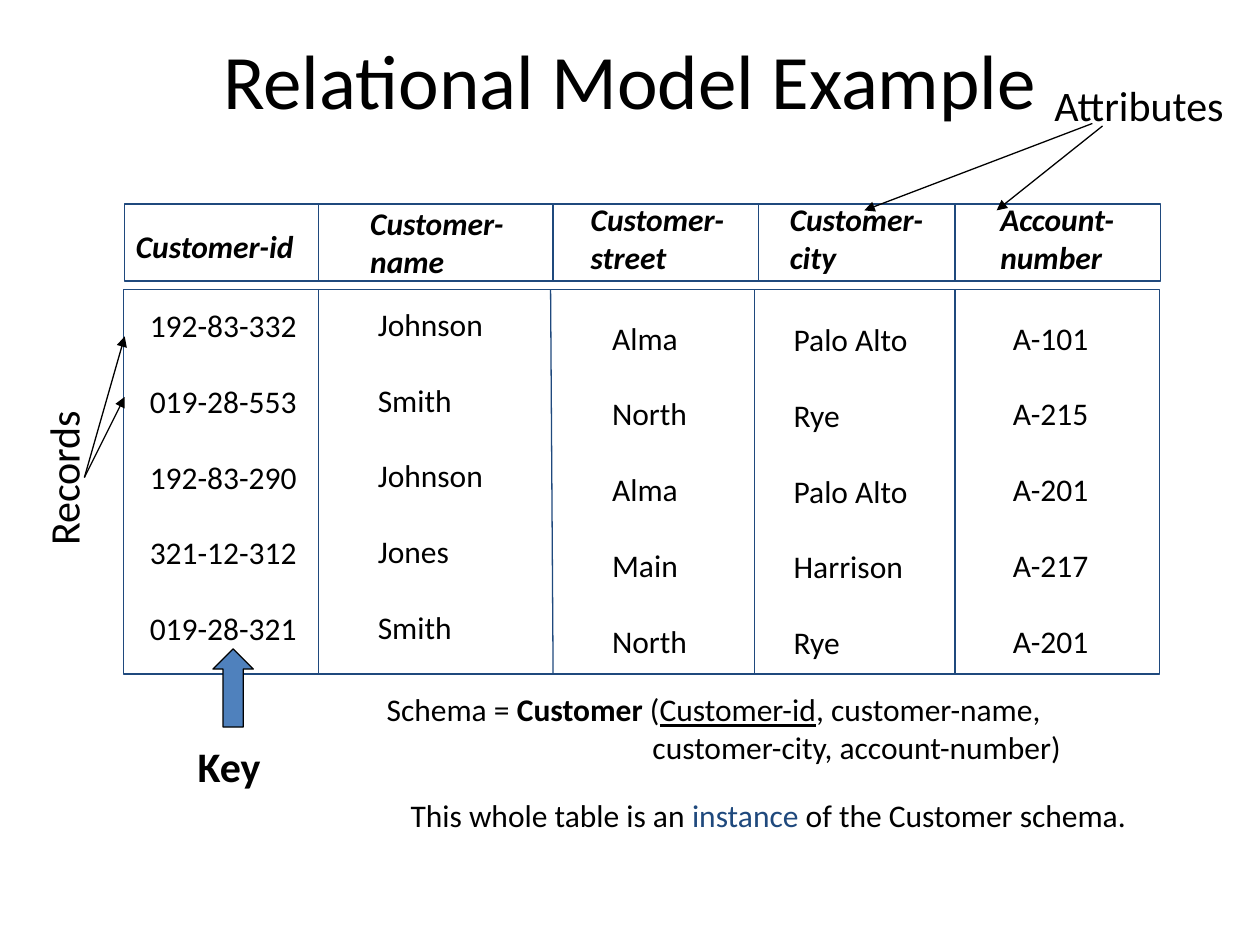
from dataclasses import dataclass

from lxml import etree
from pptx import Presentation
from pptx.dml.color import RGBColor
from pptx.enum.shapes import MSO_CONNECTOR, MSO_SHAPE
from pptx.enum.text import MSO_ANCHOR, MSO_AUTO_SIZE, PP_ALIGN
from pptx.oxml.ns import qn
from pptx.util import Inches, Pt


@dataclass(frozen=True)
class Theme:
    font: str = "Calibri"
    ink: RGBColor = RGBColor(0x00, 0x00, 0x00)
    navy: RGBColor = RGBColor(0x1F, 0x49, 0x7D)
    blue: RGBColor = RGBColor(0x4F, 0x81, 0xBD)
    paper: RGBColor = RGBColor(0xFF, 0xFF, 0xFF)
    title: int = 44
    label: int = 24
    body: int = 18
    line: float = 0.75
    row_gap: float = 21.7


THEME = Theme()

TITLE = "Relational Model Example"

# heading lines, heading box, values, values box; boxes are left, top, width, height
COLUMNS = [
    (["Customer-id"], (0.98, 1.75, 1.55, 0.4),
     ["192-83-332", "019-28-553", "192-83-290", "321-12-312", "019-28-321"], (1.09, 2.38, 1.42, 2.8)),
    (["Customer-", "name"], (2.84, 1.57, 1.26, 0.7),
     ["Johnson", "Smith", "Johnson", "Jones", "Smith"], (2.9, 2.37, 1.1, 2.8)),
    (["Customer-", "street"], (4.59, 1.54, 1.26, 0.7),
     ["Alma", "North", "Alma", "Main", "North"], (4.76, 2.48, 0.86, 2.8)),
    (["Customer-", "city"], (6.17, 1.54, 1.26, 0.7),
     ["Palo Alto", "Rye", "Palo Alto", "Harrison", "Rye"], (6.2, 2.49, 1.15, 2.8)),
    (["Account-", "number"], (7.84, 1.54, 1.11, 0.7),
     ["A-101", "A-215", "A-201", "A-217", "A-201"], (7.94, 2.48, 0.86, 2.8)),
]

HEADER_FRAME = (0.99, 1.62, 8.22, 0.61)
BODY_FRAME = (0.98, 2.3, 8.22, 3.05)
# x in the header, x at the top of the body, x at the bottom of the body
DIVIDERS = [(2.53, 2.53, 2.53), (4.39, 4.37, 4.39), (6.02, 5.99, 5.99), (7.58, 7.58, 7.58)]

# text, box, bold, rotation
LABELS = [
    ("Attributes", (8.27, 0.58, 1.55, 0.5), False, 0),
    ("Key", (1.47, 5.83, 0.71, 0.5), True, 0),
    ("Records", (-0.14, 3.54, 1.28, 0.5), False, 270),
]
POINTERS = [
    ((8.75, 1.0), (7.91, 1.67)),
    ((8.67, 0.98), (6.86, 1.67)),
    ((0.67, 3.79), (0.99, 2.67)),
    ((0.67, 3.79), (0.99, 3.15)),
]
KEY_ARROW = (1.69, 5.15, 0.32, 0.62)

SCHEMA = [
    [("Schema = ", {}), ("Customer ", {"bold": True}), ("(", {}),
     ("Customer-id", {"underline": True}), (", customer-name,", {})],
    [("customer-city, account-number)", {})],
]
SCHEMA_BOX = (2.97, 5.43, 5.59, 0.7)
SCHEMA_INDENT = 2.11
INSTANCE = [[("This whole table is an ", {}), ("instance ", {"color": THEME.navy}),
             ("of the Customer schema.", {})]]
INSTANCE_BOX = (3.16, 6.27, 5.89, 0.4)


def inches(box):
    return [Inches(value) for value in box]


def add_run(paragraph, text, size, color=THEME.ink, bold=False, italic=False, underline=False):
    run = paragraph.add_run()
    run.text = text
    font = run.font
    font.name, font.size, font.bold, font.italic = THEME.font, Pt(size), bold, italic
    font.underline = underline
    font.color.rgb = color


def add_text(slide, box, paragraphs, size=THEME.body, gap=0, wrap=False):
    """Add a text box; each paragraph is a list of (text, run style)."""
    text_box = slide.shapes.add_textbox(*inches(box))
    frame = text_box.text_frame
    frame.word_wrap = wrap
    frame.auto_size = MSO_AUTO_SIZE.SHAPE_TO_FIT_TEXT
    for index, runs in enumerate(paragraphs):
        paragraph = frame.add_paragraph() if index else frame.paragraphs[0]
        if index and gap:
            paragraph.space_before = Pt(gap)
        for text, style in runs:
            add_run(paragraph, text, size, **style)
    return text_box


def add_box(slide, preset, box, fill, line):
    shape = slide.shapes.add_shape(preset, *inches(box))
    shape.shadow.inherit = False
    shape.fill.solid()
    shape.fill.fore_color.rgb = fill
    shape.line.color.rgb = line
    shape.line.width = Pt(THEME.line)
    return shape


def add_line(slide, start, end, color, arrow=False):
    connector = slide.shapes.add_connector(MSO_CONNECTOR.STRAIGHT, *inches(start + end))
    connector.line.color.rgb = color
    connector.line.width = Pt(THEME.line)
    if arrow:
        etree.SubElement(connector.line._get_or_add_ln(), qn("a:tailEnd"), type="triangle")
    etree.SubElement(connector._element.spPr, qn("a:effectLst"))


def add_title(slide):
    title = slide.shapes.title
    title.left, title.top, title.width, title.height = inches((0.5, 0, 9, 1.25))
    title.text_frame.vertical_anchor = MSO_ANCHOR.MIDDLE
    paragraph = title.text_frame.paragraphs[0]
    paragraph.alignment = PP_ALIGN.CENTER
    add_run(paragraph, TITLE, THEME.title)


def add_relation(slide):
    """Draw the framed relation: headings above, records below."""
    for frame in (HEADER_FRAME, BODY_FRAME):
        add_box(slide, MSO_SHAPE.RECTANGLE, frame, THEME.paper, THEME.navy)
    header_top, body_top = HEADER_FRAME[1], BODY_FRAME[1]
    header_bottom, body_bottom = header_top + HEADER_FRAME[3], body_top + BODY_FRAME[3]
    for header_x, top_x, bottom_x in DIVIDERS:
        add_line(slide, (header_x, header_top), (header_x, header_bottom), THEME.navy)
        add_line(slide, (top_x, body_top), (bottom_x, body_bottom), THEME.navy)
    heading_style = {"bold": True, "italic": True}
    for heading, heading_box, values, values_box in COLUMNS:
        add_text(slide, heading_box, [[(line, heading_style)] for line in heading])
        add_text(slide, values_box, [[(value, {})] for value in values],
                 gap=THEME.row_gap, wrap=True)


def add_annotations(slide):
    for text, box, bold, rotation in LABELS:
        label = add_text(slide, box, [[(text, {"bold": bold})]], THEME.label)
        label.rotation = rotation
    for start, end in POINTERS:
        add_line(slide, start, end, THEME.ink, arrow=True)
    add_box(slide, MSO_SHAPE.UP_ARROW, KEY_ARROW, THEME.blue, THEME.ink)
    schema = add_text(slide, SCHEMA_BOX, SCHEMA)
    continuation = schema.text_frame.paragraphs[1]
    continuation._p.get_or_add_pPr().set("marL", str(Inches(SCHEMA_INDENT)))
    add_text(slide, INSTANCE_BOX, INSTANCE)


def main():
    presentation = Presentation()
    presentation.slide_width, presentation.slide_height = Inches(10), Inches(7.5)
    slide = presentation.slides.add_slide(presentation.slide_layouts[5])
    add_title(slide)
    add_relation(slide)
    add_annotations(slide)
    presentation.save("out.pptx")


if __name__ == "__main__":
    main()
